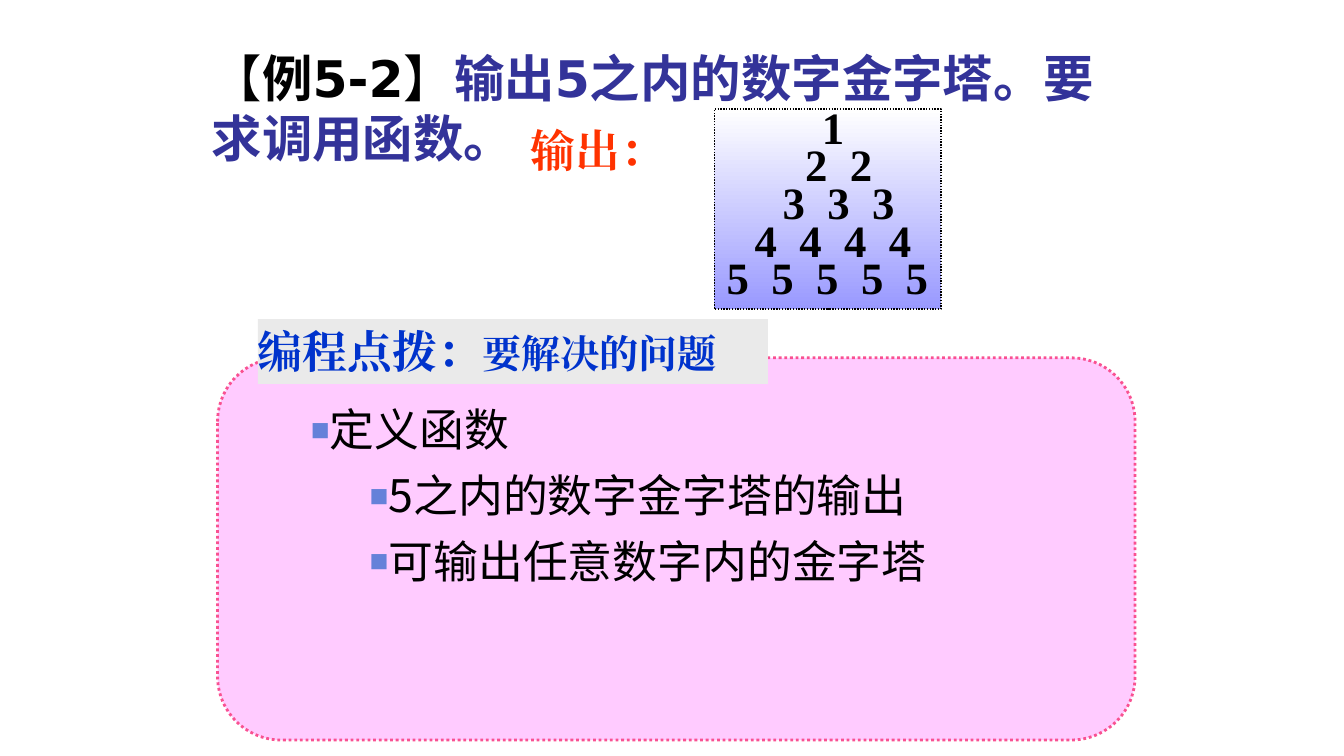
from pptx import Presentation
from pptx.dml.color import RGBColor
from pptx.enum.dml import MSO_LINE
from pptx.enum.shapes import MSO_SHAPE
from pptx.enum.text import MSO_ANCHOR, MSO_AUTO_SIZE, PP_ALIGN
from pptx.oxml.ns import qn
from pptx.util import Inches, Pt
from lxml.etree import SubElement

HUES = {
    "ink": "000000", "navy": "333399", "blue": "0033CC", "red": "FF3300",
    "pink": "FF99FF", "rose": "F95191", "gray": "EAEAEA", "mark": "6581D9",
    "white": "FFFFFF", "lilac": "9999FF",
}
HUES = {name: RGBColor.from_string(code) for name, code in HUES.items()}
SANS, HAN, SERIF = "DejaVu Sans", "Noto Sans CJK SC", "Times New Roman"


def grid(*cells):
    """Turn grid cells, twelve to the inch, into lengths."""
    return [Inches(cell / 12) for cell in cells]


def write(para, text, size=32, face=SERIF, hue="ink", bold=True, gap=0):
    run = para.add_run()
    run.text = text
    font = run.font
    font.size, font.name, font.bold = Pt(size), face, bold
    font.color.rgb = HUES[hue]
    props = run._r.get_or_add_rPr()
    SubElement(props, qn("a:ea")).set("typeface", face)
    if gap:
        props.set("spc", str(gap * 100))


deck = Presentation()
deck.slide_width, deck.slide_height = Inches(13.33), Inches(7.5)
slide = deck.slides.add_slide(deck.slide_layouts[1])
shapes = slide.shapes

# Title
title = shapes.title
title.left, title.top, title.width, title.height = grid(24, 5, 111, 15.6)
frame = title.text_frame
frame.auto_size = MSO_AUTO_SIZE.NONE
frame.vertical_anchor = MSO_ANCHOR.BOTTOM
para = frame.paragraphs[0]
para.alignment = PP_ALIGN.LEFT
for text, hue, bold in [
    ("【", "ink", False), ("例5-2", "ink", True), ("】", "ink", False),
    ("输出5之内的数字金字塔。要求调用函数。", "navy", True),
]:
    write(para, text, size=36, face=SANS, hue=hue, bold=bold)

# Rounded panel and its heading, both behind the list
body = slide.placeholders[1]
panel = shapes.add_shape(MSO_SHAPE.ROUNDED_RECTANGLE, *grid(25.9, 42.6, 109.2, 45.5))
panel.shadow.inherit = False
panel.fill.solid()
panel.fill.fore_color.rgb = HUES["pink"]
tint = panel.element.spPr.find(qn("a:solidFill"))[0]
SubElement(tint, qn("a:alpha")).set("val", "50000")
panel.line.color.rgb = HUES["rose"]
panel.line.width = Pt(2)
panel.line.dash_style = MSO_LINE.ROUND_DOT

head = shapes.add_shape(MSO_SHAPE.RECTANGLE, *grid(30.7, 38, 60.7, 7.7))
head.shadow.inherit = False
head.fill.solid()
head.fill.fore_color.rgb = HUES["gray"]
head.line.fill.background()
frame = head.text_frame
frame.margin_left = frame.margin_right = 0
frame.vertical_anchor = MSO_ANCHOR.TOP
para = frame.paragraphs[0]
para.alignment = PP_ALIGN.LEFT
write(para, "编程点拨：", hue="blue")
write(para, "要解决的问题", size=28, hue="blue")
for part in (panel, head):
    body.element.addprevious(part.element)

# List of tasks
body.left, body.top, body.width, body.height = grid(37, 48, 86, 25)
frame = body.text_frame
frame.auto_size = MSO_AUTO_SIZE.NONE
frame.margin_left = frame.margin_right = 0
tasks = [("定义函数", 0), ("5之内的数字金字塔的输出", 1), ("可输出任意数字内的金字塔", 1)]
for row, (text, level) in enumerate(tasks):
    para = frame.add_paragraph() if row else frame.paragraphs[0]
    para.level = level
    para.line_spacing = 0.9
    para.space_before = Pt(12.3 if row else 0)
    props = para._p.get_or_add_pPr()
    props.set("marL", str(grid(7 * level)[0]))
    props.set("indent", "0")
    tone = SubElement(SubElement(props, qn("a:buClr")), qn("a:srgbClr"))
    tone.set("val", str(HUES["mark"]))
    SubElement(props, qn("a:buSzPct")).set("val", "70000")
    SubElement(props, qn("a:buChar")).set("char", "■")
    write(para, text, face=HAN, bold=False)

# Number pyramid
tower = shapes.add_shape(MSO_SHAPE.RECTANGLE, *grid(85, 13, 27, 23.8))
tower.shadow.inherit = False
tower.fill.gradient()
tower.fill.gradient_angle = 270
for stop, hue, spot in zip(tower.fill.gradient_stops, ("white", "lilac"), (0, 1)):
    stop.color.rgb = HUES[hue]
    stop.position = spot
tower.line.color.rgb = HUES["ink"]
tower.line.width = Pt(1)
tower.line.dash_style = MSO_LINE.ROUND_DOT
frame = tower.text_frame
frame.margin_left = frame.margin_right = Inches(0.05)
frame.vertical_anchor = MSO_ANCHOR.TOP
shifts = [0.11, 0.22, 0.22, 0.11, 0]
for num, shift in enumerate(shifts, 1):
    para = frame.paragraphs[0] if num == 1 else frame.add_paragraph()
    para.alignment = PP_ALIGN.CENTER
    para.line_spacing = 0.7
    para._p.get_or_add_pPr().set("marL", str(Inches(shift)))
    write(para, " ".join([str(num)] * num), gap=4)

# Output label
label = shapes.add_textbox(*grid(62, 14, 18.6, 7.7))
label.text_frame.word_wrap = False
write(label.text_frame.paragraphs[0], "输出：", hue="red")

deck.save("out.pptx")
